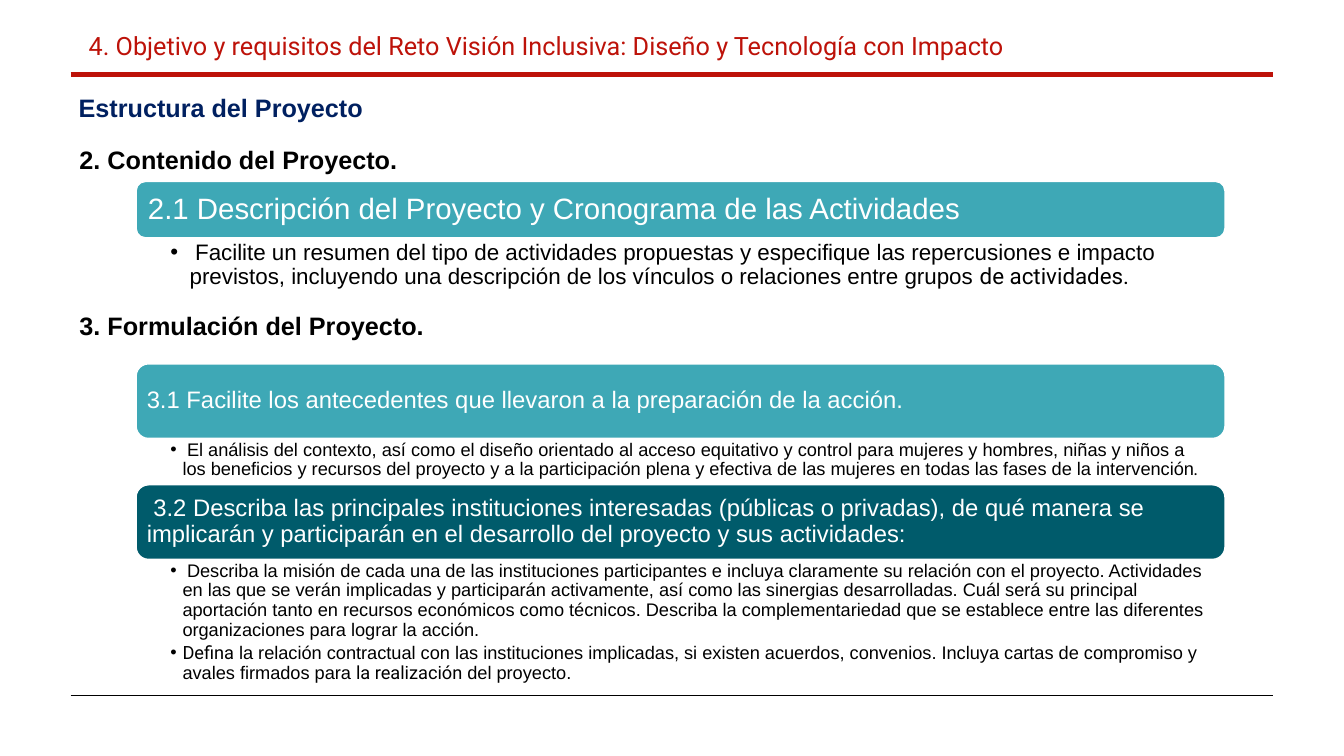
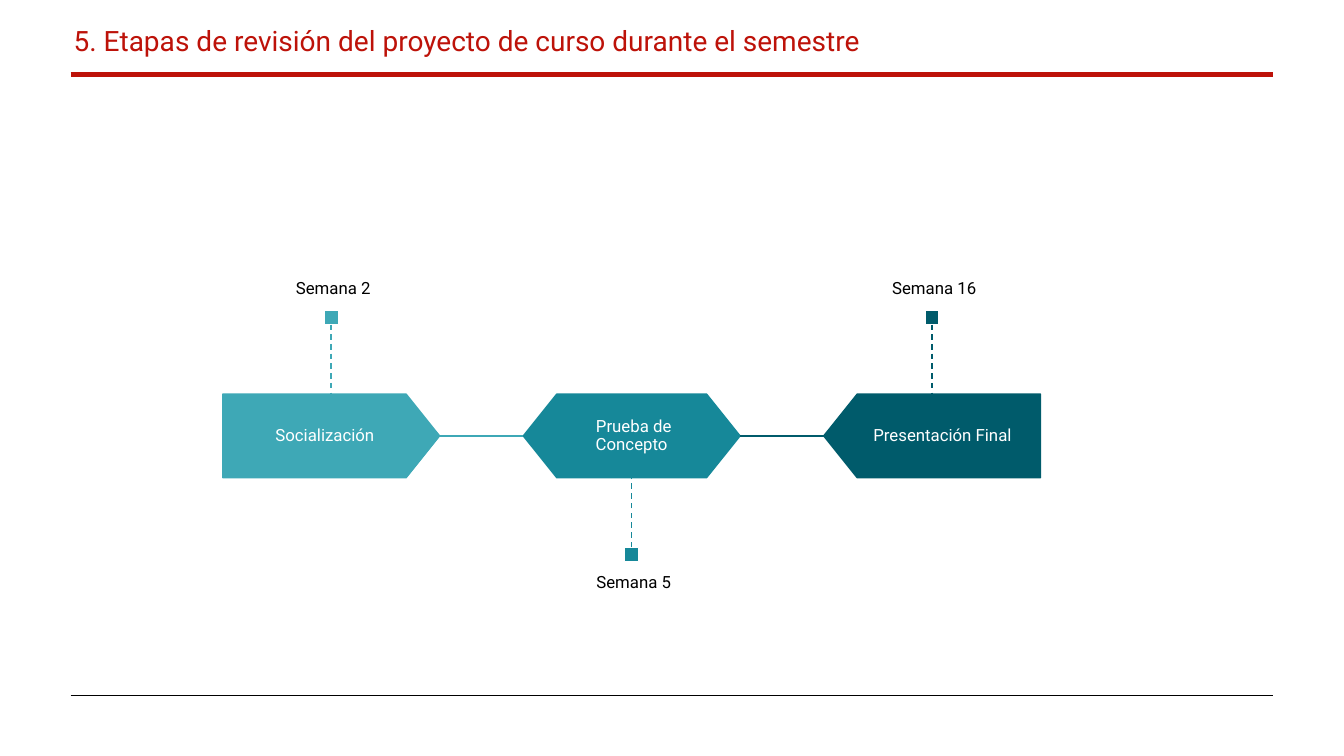
from dataclasses import dataclass

from lxml.etree import SubElement
from pptx import Presentation
from pptx.dml.color import RGBColor
from pptx.enum.dml import MSO_LINE
from pptx.enum.shapes import MSO_CONNECTOR, MSO_SHAPE
from pptx.enum.text import MSO_ANCHOR as ANCHOR, MSO_AUTO_SIZE, PP_ALIGN as ALIGN
from pptx.oxml.ns import qn
from pptx.util import Inches, Pt


@dataclass(frozen=True)
class Theme:
    red: RGBColor = RGBColor.from_string("BD1209")
    navy: RGBColor = RGBColor.from_string("002060")
    black: RGBColor = RGBColor.from_string("000000")
    white: RGBColor = RGBColor.from_string("FFFFFF")
    light: RGBColor = RGBColor.from_string("3EA8B6")
    teal: RGBColor = RGBColor.from_string("168899")
    dark: RGBColor = RGBColor.from_string("005B6B")
    sans: str = "Arial"
    display: str = "Roboto"
    heading: int = 18
    stage: int = 12


theme = Theme()


def write(box, paragraphs, size, color, font=theme.sans, bold=False, anchor=ANCHOR.TOP,
          align=ALIGN.LEFT, insets=(0.1, 0.05, 0.1, 0.05), leading=1.0, hang=None):
    frame = box.text_frame
    frame.word_wrap = True
    frame.auto_size = MSO_AUTO_SIZE.NONE
    frame.vertical_anchor = anchor
    frame.margin_left, frame.margin_top, frame.margin_right, frame.margin_bottom = map(Inches, insets)
    for index, pieces in enumerate(paragraphs):
        paragraph = frame.add_paragraph() if index else frame.paragraphs[0]
        paragraph.alignment = align
        paragraph.line_spacing = leading
        paragraph.space_before = Pt(0)
        paragraph.space_after = Pt(size * 0.2)
        properties = paragraph._p.get_or_add_pPr()
        properties.set("marL", str(Inches(hang or 0)))
        properties.set("indent", str(-Inches(hang or 0)))
        if hang:
            SubElement(properties, qn("a:buChar")).set("char", "•")
        else:
            SubElement(properties, qn("a:buNone"))
        for text, face in [(pieces, font)] if isinstance(pieces, str) else pieces:
            run = paragraph.add_run()
            run.text = text
            run.font.name = face
            run.font.size = Pt(size)
            run.font.bold = bold
            run.font.color.rgb = color


def rule(slide, start, end, color, width=1):
    connector = slide.shapes.add_connector(MSO_CONNECTOR.STRAIGHT, *map(Inches, start + end))
    connector.line.color.rgb = color
    connector.line.width = Pt(width)
    SubElement(connector.element.spPr, qn("a:effectLst"))
    return connector


deck = Presentation()
deck.slide_width = Inches(13.33)
deck.slide_height = Inches(7.5)
structure = deck.slides.add_slide(deck.slide_layouts[4])
timeline = deck.slides.add_slide(deck.slide_layouts[5])

bands = [rule(structure, (0.7, 0.74), (12.63, 0.74), theme.red, 3),
         rule(structure, (0.7, 6.9), (12.63, 6.9), theme.black, 0.5)]
for band in bands:
    deck.slide_master.shapes.element.append(band.element)

titles = [
    (structure, "4. Objetivo y requisitos del Reto Visión Inclusiva: Diseño y Tecnología con Impacto",
     (0.78, 0.25, 9.98, 0.4), 18),
    (timeline, "5. Etapas de revisión del proyecto de curso durante el semestre",
     (0.63, 0.18, 10.11, 0.44), 20),
]
for slide, wording, place, size in titles:
    title = slide.shapes.title
    title.left, title.top, title.width, title.height = map(Inches, place)
    write(title, [wording], size, theme.red, theme.display)

subtitle, *lists = list(structure.placeholders)[1:]
subtitle.left, subtitle.top, subtitle.width, subtitle.height = map(Inches, (0.68, 0.87, 11.78, 0.4))
write(subtitle, ["Estructura del Proyecto"], theme.heading, theme.navy, bold=True)

for top, wording in [(1.38, "2. Contenido del Proyecto."), (3.03, "3. Formulación del Proyecto.")]:
    section = structure.shapes.add_textbox(*map(Inches, (0.69, top, 7.77, 0.4)))
    write(section, [wording], theme.heading, theme.black, bold=True)

sans, display = theme.sans, theme.display
requirements = [
    (1.8, 0.56, theme.light, 21, 0.09,
     "2.1 Descripción del Proyecto y Cronograma de las Actividades",
     0.56, 16, 0.19, 0.03,
     [[(" ", display),
       ("Facilite un resumen del tipo de actividades propuestas y especifique las repercusiones e "
        "impacto previstos, incluyendo una descripción de los vínculos o relaciones entre grupos ", sans),
       ("de actividades.", display)]]),
    (3.61, 0.74, theme.light, 17, 0.07,
     "3.1 Facilite los antecedentes que llevaron a la preparación de la acción.",
     0.45, 13, 0.12, 0.02,
     [[(" ", display),
       ("El análisis del contexto, así como el diseño orientado al acceso equitativo y control para "
        "mujeres y hombres, niñas y niños a los beneficios y recursos del proyecto y a la participación "
        "plena y efectiva de las mujeres en todas las fases de la intervención", sans),
       (".", display)]]),
    (4.81, 0.74, theme.dark, 17, 0.07,
     " 3.2 Describa las principales instituciones interesadas (públicas o privadas), de qué manera se "
     "implicarán y participarán en el desarrollo del proyecto y sus actividades:",
     1.31, 13, 0.12, 0.02,
     [[(" ", display),
       ("Describa la misión de cada una de las instituciones participantes e incluya claramente su "
        "relación con el proyecto. Actividades en las que se verán implicadas y participarán activamente, "
        "así como las sinergias desarrolladas. Cuál será su principal aportación tanto en recursos "
        "económicos como técnicos. Describa la complementariedad que se establece entre las diferentes "
        "organizaciones para lograr la acción.", sans)],
      [("Defina", display),
       (" la relación contractual con las instituciones implicadas, si existen acuerdos, convenios. "
        "Incluya cartas de compromiso y avales firmados para ", sans),
       ("la realización", display),
       (" del proyecto.", sans)]]),
]
for details, (top, height, color, size, inset, wording,
              details_height, details_size, hang, details_inset, points) in zip(lists, requirements):
    banner = structure.shapes.add_shape(MSO_SHAPE.ROUNDED_RECTANGLE,
                                        *map(Inches, (1.35, top, 10.8, height)))
    banner.shadow.inherit = False
    banner.fill.solid()
    banner.fill.fore_color.rgb = color
    banner.line.color.rgb = theme.white
    banner.line.width = Pt(1)
    write(banner, [wording], size, theme.white, anchor=ANCHOR.MIDDLE, insets=(inset,) * 4, leading=0.9)
    details.left, details.top, details.width, details.height = map(
        Inches, (1.35, top + height, 10.8, details_height))
    write(details, points, details_size, theme.black,
          insets=(0.34, details_inset, 0.15, details_inset), leading=0.9, hang=hang)

stage_left, stage_top, stage_width, stage_height = 2.21, 3.91, 2.15, 0.83
pitch, stem, marker_side = 2.98, 0.69, 0.14
label_width, label_height = 2.98, 0.58
stage_middle = stage_top + stage_height / 2
stages = [
    (" Socialización", " Semana 2", MSO_SHAPE.PENTAGON, theme.light, True),
    (" Prueba de Concepto", " Semana 5", MSO_SHAPE.HEXAGON, theme.teal, False),
    (" Presentación Final", " Semana 16", MSO_SHAPE.PENTAGON, theme.dark, True),
]
for index, (wording, week, outline, color, above) in enumerate(stages):
    left = stage_left + index * pitch
    center = left + stage_width / 2
    stem_start = stage_top if above else stage_top + stage_height
    stem_end = stem_start - stem if above else stem_start + stem
    marker_top = stem_end - marker_side if above else stem_end
    label_top = marker_top - label_height if above else marker_top + marker_side

    stage = timeline.shapes.add_shape(outline, *map(Inches, (left, stage_top, stage_width, stage_height)))
    stage.adjustments[0] = 0.4
    if index == len(stages) - 1:
        stage.element.spPr.xfrm.set("flipH", "1")
    marker = timeline.shapes.add_shape(
        MSO_SHAPE.RECTANGLE, *map(Inches, (center - marker_side / 2, marker_top, marker_side, marker_side)))
    for part, border in [(stage, color), (marker, theme.white)]:
        part.shadow.inherit = False
        part.fill.solid()
        part.fill.fore_color.rgb = color
        part.line.color.rgb = border
        part.line.width = Pt(1)
    write(stage, [wording], theme.stage, theme.white, theme.display, anchor=ANCHOR.MIDDLE,
          align=ALIGN.CENTER, insets=(0.1,) * 4, leading=0.9)

    rule(timeline, (center, stem_end), (center, stem_start), color).line.dash_style = MSO_LINE.DASH
    label = timeline.shapes.add_textbox(
        *map(Inches, (center - label_width / 2, label_top, label_width, label_height)))
    write(label, [week], theme.stage, theme.black, theme.display,
          anchor=ANCHOR.BOTTOM if above else ANCHOR.TOP,
          align=ALIGN.CENTER, insets=(0, 0.12, 0, 0.12), leading=0.9)

for index, color in enumerate([theme.light, theme.dark]):
    link_start = stage_left + stage_width + index * pitch
    link_end = stage_left + (index + 1) * pitch
    rule(timeline, (link_start, stage_middle), (link_end, stage_middle), color)

deck.save("out.pptx")
